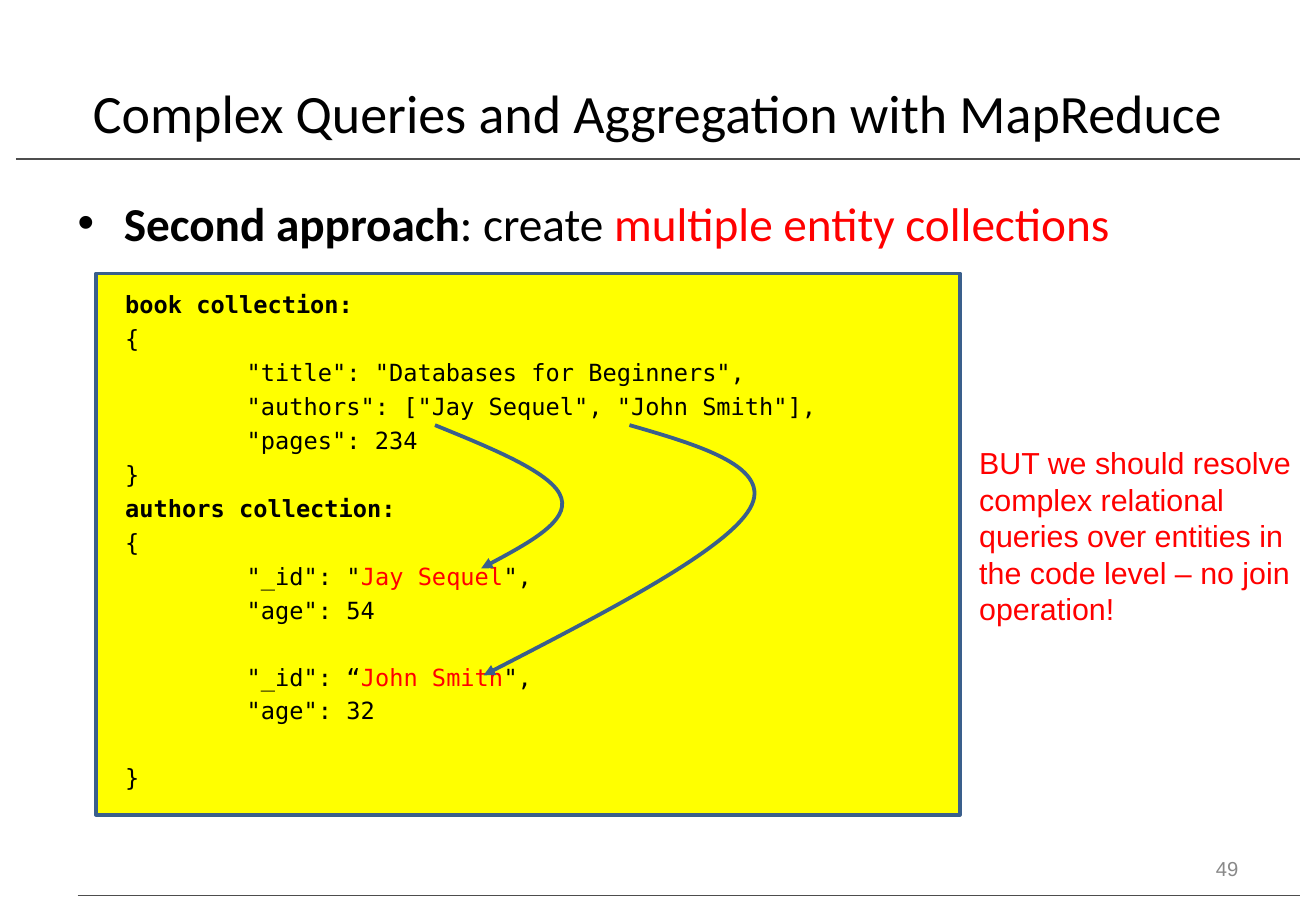
from lxml import etree
from pptx import Presentation
from pptx.dml.color import RGBColor
from pptx.enum.shapes import MSO_CONNECTOR, MSO_SHAPE
from pptx.enum.text import MSO_ANCHOR, PP_ALIGN
from pptx.oxml.ns import qn
from pptx.util import Inches, Pt

LINE, RECT = MSO_CONNECTOR.STRAIGHT, MSO_SHAPE.RECTANGLE
TOP, MIDDLE = MSO_ANCHOR.TOP, MSO_ANCHOR.MIDDLE
LEFT, CENTER, RIGHT = PP_ALIGN.LEFT, PP_ALIGN.CENTER, PP_ALIGN.RIGHT

COLORS = {"black": "000000", "red": "FF0000", "yellow": "FFFF00",
          "blue": "3A5F8C", "rule": "4D4D4D", "gray": "898989"}
MONO = "DejaVu Sans Mono"
GAP, BREAK = 3.3, 22.9  # points before a code line, and before a new group

# Code lines: text runs, indent, bold, points before
CODE = [
    (["book collection:"], 0, True, 0),
    (["{"], 0, False, GAP),
    (['"title": "Databases for Beginners",'], 1, False, GAP),
    (['"authors": ["Jay Sequel", "John Smith"],'], 1, False, GAP),
    (['"pages": 234'], 1, False, GAP),
    (["}"], 0, False, GAP),
    (["authors collection:"], 0, True, GAP),
    (["{"], 0, False, GAP),
    (['"_id": "', "Jay Sequel", '",'], 1, False, GAP),
    (['"age": 54'], 1, False, GAP),
    (['"_id": “', "John Smith", '",'], 1, False, BREAK),
    (['"age": 32'], 1, False, GAP),
    (["}"], 0, False, BREAK),
]

# Curved arrows: start point, then three points for each curve
ARROWS = [
    [(3.58, 3.5), (4.07, 3.7), (4.56, 3.9), (4.62, 4.1),
     (4.68, 4.29), (4.32, 4.49), (3.96, 4.68)],
    [(5.18, 3.5), (5.77, 3.67), (6.37, 3.85), (6.17, 4.19),
     (5.97, 4.53), (4.97, 5.05), (3.98, 5.56)],
]


def color(name):
    return RGBColor.from_string(COLORS[name])


class Page:
    def __init__(self, slide):
        self.shapes = slide.shapes

    def rule(self, x1, x2, y, width):
        line = self.shapes.add_connector(
            LINE, Inches(x1), Inches(y), Inches(x2), Inches(y))
        line.line.color.rgb = color("rule")
        line.line.width = Pt(width)
        etree.SubElement(line._element.spPr, qn("a:effectLst"))

    def panel(self, x, y, w, h):
        box = self.shapes.add_shape(
            RECT, Inches(x), Inches(y), Inches(w), Inches(h))
        box.shadow.inherit = False
        box.fill.solid()
        box.fill.fore_color.rgb = color("yellow")
        box.line.color.rgb = color("blue")
        box.line.width = Pt(2)
        frame = box.text_frame
        frame.word_wrap = True
        frame.vertical_anchor = TOP
        frame.margin_left, frame.margin_top = Inches(0.24), Inches(0.14)
        return frame

    def text(self, x, y, w, h, anchor=TOP):
        box = self.shapes.add_textbox(
            Inches(x), Inches(y), Inches(w), Inches(h))
        frame = box.text_frame
        frame.word_wrap = True
        frame.vertical_anchor = anchor
        return frame

    def fill(self, par, runs, font, size, tint="black", align=LEFT):
        par.alignment = align
        par.font.name, par.font.size = font, Pt(size)
        for words, hue in runs:
            run = par.add_run()
            run.text = words
            run.font.color.rgb = color(hue or tint)

    def bullet(self, par, indent):
        props = par._p.get_or_add_pPr()
        props.set("marL", str(Inches(indent)))
        props.set("indent", str(-Inches(indent)))
        etree.SubElement(props, qn("a:buFont"), typeface="Arial")
        etree.SubElement(props, qn("a:buChar"), char="•")

    def code(self, frame, lines):
        for i, (parts, level, bold, space) in enumerate(lines):
            par = frame.add_paragraph() if i else frame.paragraphs[0]
            par._p.get_or_add_pPr().set("marL", str(Inches(level)))
            par.space_before = Pt(space)
            runs = [(part, "red" if n == 1 else None)
                    for n, part in enumerate(parts)]
            self.fill(par, runs, MONO, 14)
            par.font.bold = bold

    def arrow(self, points):
        spots = [(Inches(x), Inches(y)) for x, y in points]
        pen = self.shapes.build_freeform(*spots[0])
        pen.add_line_segments(spots[1:], close=False)
        curve = pen.convert_to_shape()
        curve.shadow.inherit = False
        curve.fill.background()
        curve.line.color.rgb = color("blue")
        curve.line.width = Pt(2.25)
        etree.SubElement(curve.line._get_or_add_ln(), qn("a:tailEnd"),
                         type="triangle")
        # Turn each three straight steps into one Bezier curve
        steps = list(curve._element.iter(qn("a:lnTo")))
        for i, step in enumerate(steps):
            if i % 3 == 0:
                bend = etree.SubElement(step.getparent(), qn("a:cubicBezTo"))
            bend.append(step[0])
            step.getparent().remove(step)


def main():
    deck = Presentation()
    deck.slide_width, deck.slide_height = Inches(10.83), Inches(7.5)
    page = Page(deck.slides.add_slide(deck.slide_layouts[6]))

    # Rules
    page.rule(0.13, 10.7, 1.31, 1)
    page.rule(0.64, 10.7, 7.37, 0.75)

    # Title and page number
    title = page.text(0.54, 0.3, 9.75, 1.25, MIDDLE)
    page.fill(title.paragraphs[0],
              [("Complex Queries and Aggregation with MapReduce", None)],
              "Calibri", 32, align=CENTER)
    number = page.text(7.76, 6.95, 2.53, 0.4, MIDDLE)
    page.fill(number.paragraphs[0], [("49", None)], "Arial", 12, "gray", RIGHT)

    # Main point
    point = page.text(0.54, 1.55, 9.75, 0.6).paragraphs[0]
    page.bullet(point, 0.38)
    page.fill(point, [("Second approach", None), (": create ", None),
                      ("multiple entity collections", "red")], "Calibri", 28)
    point.runs[0].font.bold = True

    # Code panel
    page.code(page.panel(0.79, 2.25, 7.11, 4.46), CODE)

    # Side note
    note = page.text(7.96, 3.61, 2.78, 1.62)
    page.fill(note.paragraphs[0],
              [("BUT we should resolve complex relational queries over "
                "entities in the code level – no join operation!", None)],
              "Arial", 18, "red")

    # Links from authors to their entries
    for points in ARROWS:
        page.arrow(points)

    deck.save("out.pptx")


if __name__ == "__main__":
    main()
